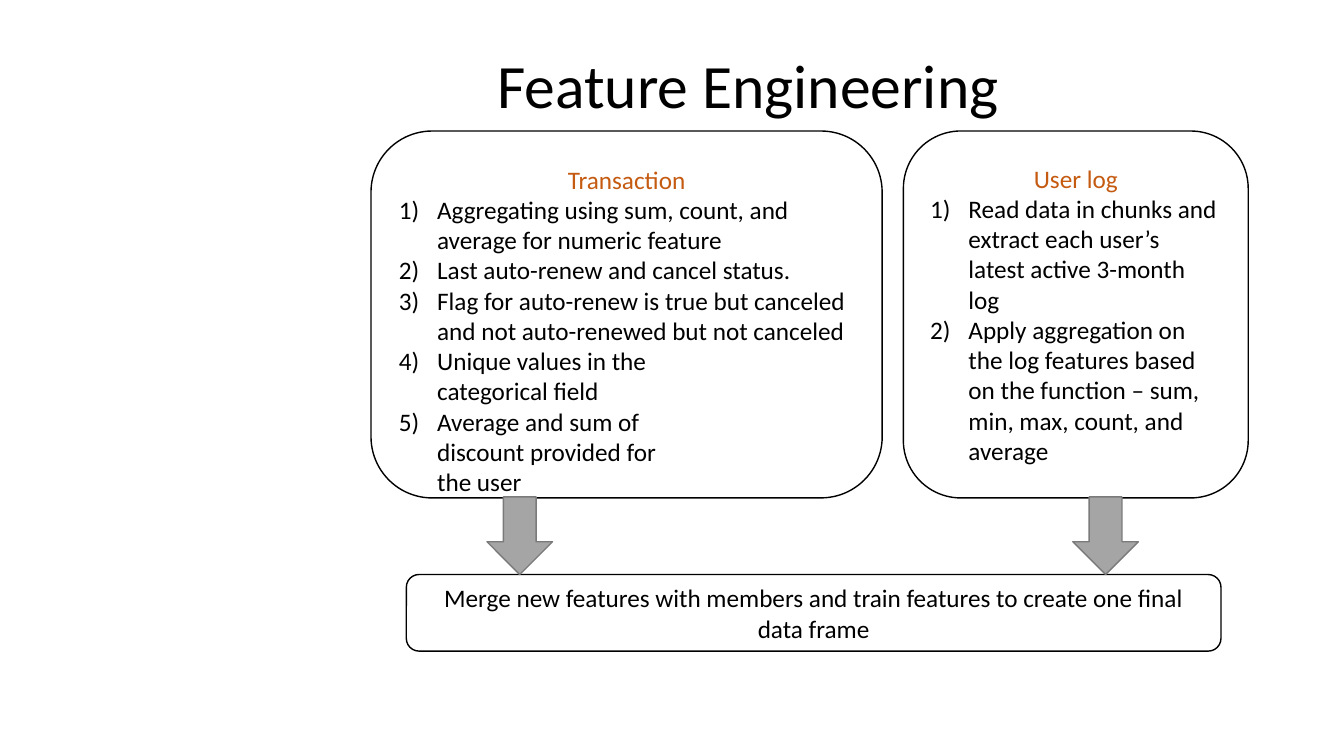
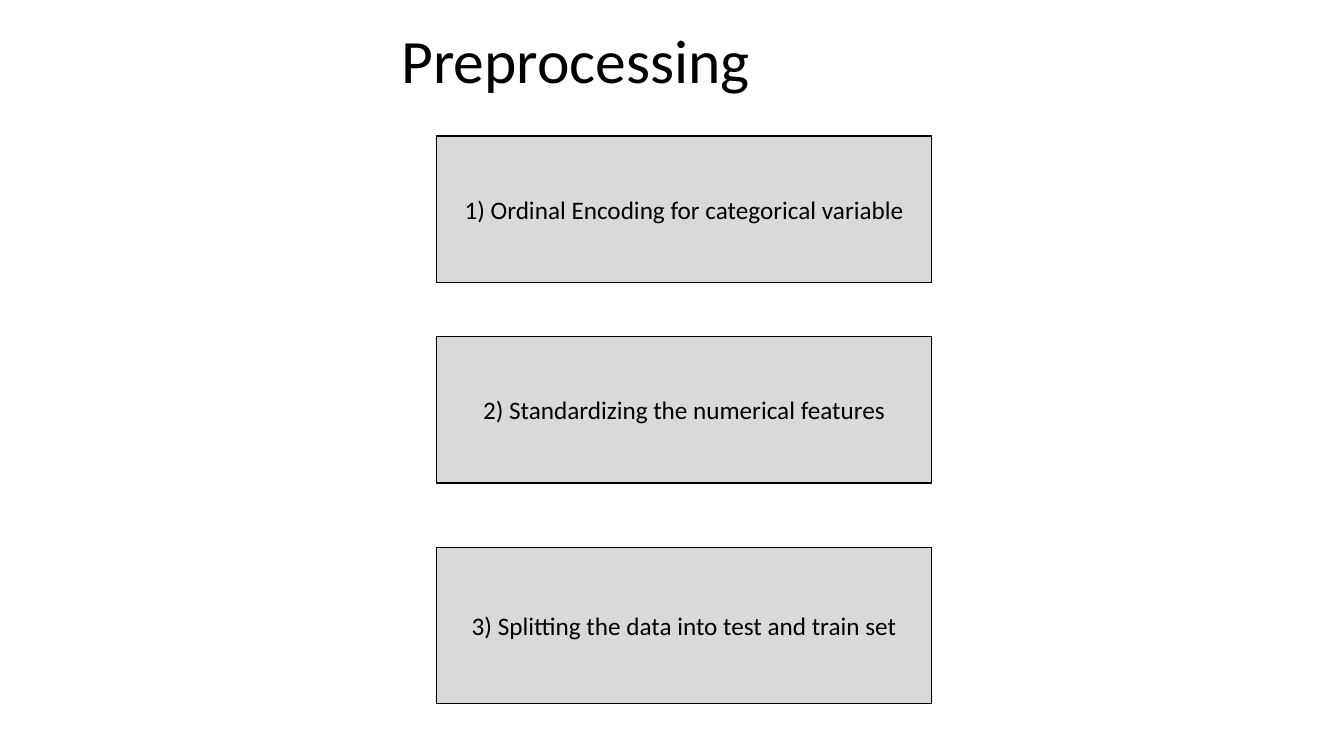
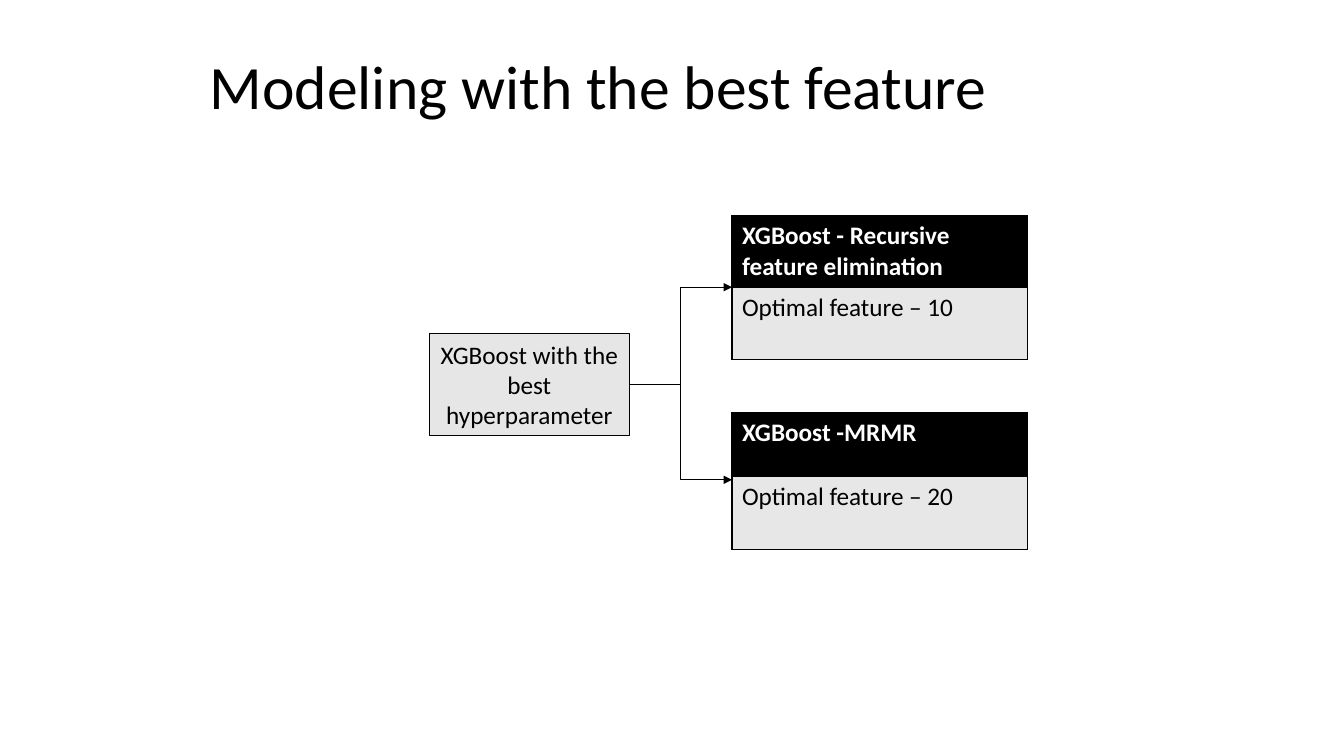
import pptx
import pptx.util
import pptx.dml.color
import pptx.enum.shapes
import pptx.enum.text
import pptx.oxml
import pptx.oxml.ns

Inches = pptx.util.Inches
Pt = pptx.util.Pt
Kind = pptx.enum.shapes.MSO_SHAPE
Align = pptx.enum.text.PP_ALIGN
Anchor = pptx.enum.text.MSO_ANCHOR

HUES = {
    "ink": "000000", "paper": "FFFFFF", "head": "C55A11", "arrow": "A5A5A5",
    "edge": "7A7A7A", "step": "D9D9D9", "cell": "E7E7E7", "model": "E7E6E6",
}
BODY = {"name": "Calibri", "size": Pt(18), "bold": False}
TITLE = {**BODY, "size": Pt(44)}


def hue(key):
    return pptx.dml.color.RGBColor.from_string(HUES[key])


def apply(target, values):
    for name, value in values.items():
        setattr(target, name, value)


def node(tag, inner="", **attrs):
    pairs = "".join(f' {k}="{v}"' for k, v in attrs.items())
    space = pptx.oxml.ns.nsdecls("a")
    return pptx.oxml.parse_xml(f"<a:{tag} {space}{pairs}>{inner}</a:{tag}>")


class Deck:
    """Holds the style and the current slide."""

    def __init__(self):
        self.show = pptx.Presentation()
        apply(self.show, {"slide_width": Inches(13.33), "slide_height": Inches(7.5)})
        self.slide = None

    def page(self, text, *place):
        self.slide = self.show.slides.add_slide(self.show.slide_layouts[5])
        title = self.slide.shapes.title
        apply(title, dict(zip(("left", "top", "width", "height"), map(Inches, place))))
        apply(title.text_frame, {"vertical_anchor": Anchor.MIDDLE, "word_wrap": True})
        para = title.text_frame.paragraphs[0]
        apply(para, {"alignment": Align.LEFT, "line_spacing": 0.9})
        self.label(para, text, font=TITLE)

    def label(self, para, text, color="ink", font=BODY):
        # A bar in the text marks a line break
        for i, line in enumerate(text.split("|")):
            if i:
                para.add_line_break()
            run = para.add_run()
            run.text = line
            apply(run.font, font)
            run.font.color.rgb = hue(color)

    def box(self, kind, place, fill, text="", edge="ink", width=1):
        shape = self.slide.shapes.add_shape(kind, *map(Inches, place))
        shape.shadow.inherit = False
        shape.fill.solid()
        shape.fill.fore_color.rgb = hue(fill)
        shape.line.color.rgb = hue(edge)
        shape.line.width = Pt(width)
        frame = shape.text_frame
        apply(frame, {"word_wrap": True, "vertical_anchor": Anchor.MIDDLE})
        if text:
            para = frame.paragraphs[0]
            para.alignment = Align.CENTER
            self.label(para, text)
        return shape

    def card(self, place, head, items):
        frame = self.box(Kind.ROUNDED_RECTANGLE, place, "paper").text_frame
        apply(frame, {"vertical_anchor": Anchor.TOP, "margin_top": Inches(0.15)})
        para = frame.paragraphs[0]
        para.alignment = Align.CENTER
        self.label(para, head, "head")
        for item in items:
            para = frame.add_paragraph()
            para.alignment = Align.LEFT
            props = para._p.get_or_add_pPr()
            props.set("marL", str(Inches(0.38)))
            props.set("indent", str(Inches(-0.38)))
            props.append(node("buAutoNum", type="arabicParenR"))
            self.label(para, item)

    def table(self, left, top, width, rows):
        high = sum(row[0] for row in rows)
        grid = self.slide.shapes.add_table(
            len(rows), 1, *map(Inches, (left, top, width, high))).table
        apply(grid, {"first_row": False, "horz_banding": False})
        for i, (size, text, fill, color, bold) in enumerate(rows):
            grid.rows[i].height = Inches(size)
            cell = grid.cell(i, 0)
            props = cell._tc.get_or_add_tcPr()
            for side in ("lnL", "lnR", "lnT", "lnB"):
                paint = f'<a:solidFill><a:srgbClr val="{HUES["ink"]}"/></a:solidFill>'
                props.append(node(side, paint, w=Pt(1)))
            cell.fill.solid()
            cell.fill.fore_color.rgb = hue(fill)
            self.label(cell.text_frame.paragraphs[0], text, color, {**BODY, "bold": bold})

    def elbow(self, *ends):
        wire = self.slide.shapes.add_connector(
            pptx.enum.shapes.MSO_CONNECTOR.ELBOW, *map(Inches, ends))
        wire.line.color.rgb = hue("ink")
        wire.line.width = Pt(0.5)
        props = wire.element.spPr
        props.find(pptx.oxml.ns.qn("a:ln")).append(node("tailEnd", type="triangle"))
        props.append(node("effectLst"))


def main():
    deck = Deck()

    # Feature engineering: two cards flow into one result
    deck.page("Feature Engineering", 4.83, 0.15, 11.5, 1.45)
    deck.card((3.68, 1.3, 5.07, 3.64), "Transaction", [
        "Aggregating using sum, count, and average for numeric feature",
        "Last auto-renew and cancel status.",
        "Flag for auto-renew is true but canceled and not auto-renewed but not canceled",
        "Unique values in the|categorical field",
        "Average and sum of|discount provided for|the user",
    ])
    deck.card((8.96, 1.3, 3.42, 3.64), "User log", [
        "Read data in chunks and extract each user’s latest active 3-month log",
        "Apply aggregation on the log features based on the function – sum, "
        "min, max, count, and average",
    ])
    deck.box(Kind.ROUNDED_RECTANGLE, (4.03, 5.7, 8.08, 0.76), "paper",
             "Merge new features with members and train features to create one final|data frame")
    for left in (4.83, 10.64):
        deck.box(Kind.DOWN_ARROW, (left, 4.93, 0.65, 0.77), "arrow", edge="edge")

    # Preprocessing: three steps
    deck.page("Preprocessing", 3.88, -0.09, 11.5, 1.45)
    for top, high, text in (
        (1.35, 1.45, "1) Ordinal Encoding for categorical variable"),
        (3.34, 1.45, "2) Standardizing the numerical features"),
        (5.43, 1.55, "3) Splitting the data into test and train set"),
    ):
        deck.box(Kind.RECTANGLE, (4.33, top, 4.91, high), "step", text)

    # Modeling: one model branches to two tables
    deck.page("Modeling with the best feature", 1.98, 0.16, 10.81, 1.45)
    for top, size, head, best, mid in (
        (2.14, 0.71, "XGBoost - Recursive feature elimination", 10, 2.85),
        (4.09, 0.64, "XGBoost -MRMR", 20, 4.76),
    ):
        deck.table(7.26, top, 2.93, [
            (size, head, "ink", "paper", True),
            (0.72, f"Optimal feature – {best}", "cell", "ink", False),
        ])
        deck.elbow(6.24, 3.81, 7.26, mid)
    deck.box(Kind.RECTANGLE, (4.26, 3.31, 1.98, 1.01), "model",
             "XGBoost with the best hyperparameter", width=0.75)

    deck.show.save("out.pptx")


if __name__ == "__main__":
    main()
